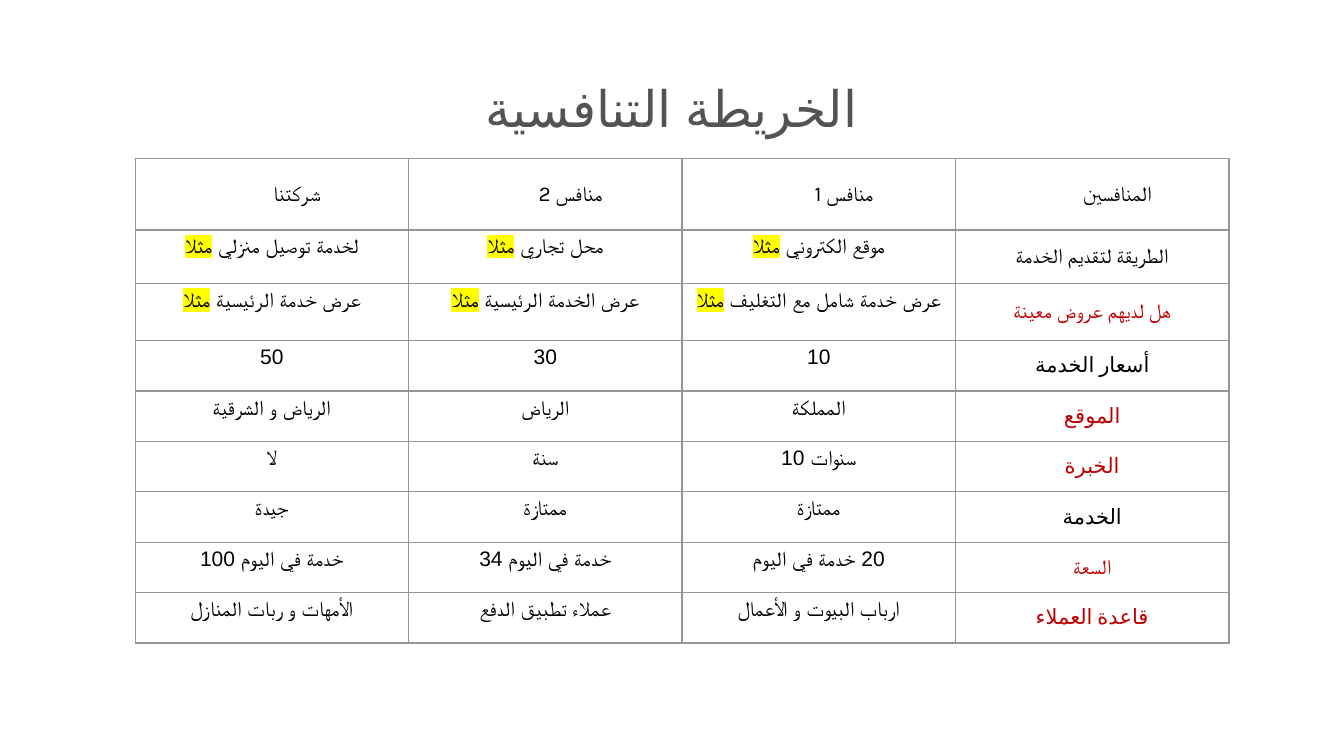
from dataclasses import dataclass

from lxml.etree import SubElement
from pptx import Presentation
from pptx.dml.color import RGBColor
from pptx.enum.lang import MSO_LANGUAGE_ID
from pptx.enum.text import MSO_ANCHOR, PP_ALIGN
from pptx.oxml import parse_xml
from pptx.oxml.ns import nsdecls, qn
from pptx.util import Inches, Pt


@dataclass(frozen=True)
class Theme:
    title_color: str = "535353"
    text: str = "000000"
    accent: str = "C00000"
    border: str = "969696"
    highlight: str = "FFFF00"
    title_size: int = 36
    cell_size: int = 15
    label_font: str = "Karla"
    body_font: str = "Arial"


THEME = Theme()
EXAMPLE = "مثلا"
HEADERS = ["شركتنا", "منافس 2", "منافس 1", "المنافسين"]
# Three values, then the row label, its colour and its words set as Arabic
ROWS = [
    (["لخدمة توصيل منزلي مثلا", "محل تجاري مثلا", "موقع الكتروني مثلا"],
     "الطريقة لتقديم الخدمة", THEME.text, ""),
    (["عرض خدمة الرئيسية مثلا", "عرض الخدمة الرئيسية مثلا",
      "عرض خدمة شامل مع التغليف مثلا"],
     "هل لديهم عروض معينة", THEME.accent, ""),
    (["50", "30", "10"], "أسعار الخدمة", THEME.text, "أسعار"),
    (["الرياض و الشرقية", "الرياض", "المملكة"],
     "الموقع", THEME.accent, "الموقع"),
    (["لا", "سنة", "10 سنوات"], "الخبرة", THEME.accent, "الخبرة"),
    (["جيدة", "ممتازة", "ممتازة"], "الخدمة", THEME.text, "الخدمة"),
    (["100 خدمة في اليوم", "34 خدمة في اليوم", "20 خدمة في اليوم"],
     "السعة", THEME.accent, ""),
    (["الأمهات و ربات المنازل", "عملاء تطبيق الدفع", "ارباب البيوت و الأعمال"],
     "قاعدة العملاء", THEME.accent, "قاعدة العملاء"),
]
RTL_CELL = (7, 2)
ROW_HEIGHTS = [0.71, 0.53, 0.57] + [0.5] * 6


def style_paragraph(p, font, size, color):
    p.alignment = PP_ALIGN.CENTER
    p.font.size = Pt(size)
    p.font.color.rgb = RGBColor.from_string(color)
    p.font.name = font
    SubElement(p.font._element, qn("a:cs"), typeface=font)


def add_run(p, text, arabic=False, highlight=False):
    r = p.add_run()
    r.text = text
    if arabic:
        r.font.language_id = MSO_LANGUAGE_ID.ARABIC
    if highlight:
        mark = SubElement(r.font._element, qn("a:highlight"))
        SubElement(mark, qn("a:srgbClr"), val=THEME.highlight)


def set_borders(cell, top, bottom):
    tc_pr = cell._tc.get_or_add_tcPr()
    widths = {"lnL": 1, "lnR": 1, "lnT": top, "lnB": bottom}
    for i, (side, width) in enumerate(widths.items()):
        tc_pr.insert(i, parse_xml(
            f'<a:{side} {nsdecls("a")} w="{Pt(width)}"><a:solidFill>'
            f'<a:srgbClr val="{THEME.border}"/></a:solidFill></a:{side}>'))


def prepare_cell(cell, anchor, top=1, bottom=1):
    """Clear the fill, set margins and borders, and return the paragraph."""
    cell.fill.background()
    set_borders(cell, top, bottom)
    cell.margin_left = cell.margin_right = Inches(0.05)
    cell.margin_top = cell.margin_bottom = Inches(0.05)
    cell.vertical_anchor = anchor
    return cell.text_frame.paragraphs[0]


def add_title(s, x, y, w, h):
    tf = s.shapes.add_textbox(Inches(x), Inches(y), Inches(w), Inches(h)).text_frame
    tf.word_wrap = True
    tf.vertical_anchor = MSO_ANCHOR.TOP
    p = tf.paragraphs[0]
    style_paragraph(p, THEME.body_font, THEME.title_size, THEME.title_color)
    add_run(p, "الخريطة التنافسية", arabic=True)


def fill_header(table):
    for col, text in enumerate(HEADERS):
        p = prepare_cell(table.cell(0, col), MSO_ANCHOR.MIDDLE, bottom=2)
        p._p.get_or_add_pPr().set("indent", str(Inches(0.5)))
        style_paragraph(p, THEME.label_font, THEME.cell_size, THEME.text)
        add_run(p, text)


def fill_row(table, row, values, label, color, arabic):
    top = 2 if row == 1 else 1
    for col, text in enumerate(values):
        p = prepare_cell(table.cell(row, col), MSO_ANCHOR.TOP, top)
        if (row, col) == RTL_CELL:
            p._p.get_or_add_pPr().set("rtl", "1")
        style_paragraph(p, THEME.body_font, THEME.cell_size, THEME.text)
        add_run(p, text.removesuffix(EXAMPLE))
        if text.endswith(EXAMPLE):
            add_run(p, EXAMPLE, highlight=True)

    p = prepare_cell(table.cell(row, len(values)), MSO_ANCHOR.MIDDLE, top)
    style_paragraph(p, THEME.label_font, THEME.cell_size, color)
    if arabic:
        add_run(p, arabic, arabic=True)
    rest = label.removeprefix(arabic)
    if rest:
        add_run(p, rest)


def add_competitor_table(s, x, y, w):
    table = s.shapes.add_table(
        len(ROW_HEIGHTS), len(HEADERS), Inches(x), Inches(y),
        Inches(w), Inches(sum(ROW_HEIGHTS))).table
    table.first_row = table.horz_banding = False
    for row, height in zip(table.rows, ROW_HEIGHTS):
        row.height = Inches(height)
    fill_header(table)
    for i, content in enumerate(ROWS, start=1):
        fill_row(table, i, *content)


def main():
    prs = Presentation()
    prs.slide_width, prs.slide_height = Inches(13.33), Inches(7.5)
    s = prs.slides.add_slide(prs.slide_layouts[6])
    add_title(s, 2.35, 0.72, 8.62, 1.45)
    add_competitor_table(s, 1.34, 1.57, 10.85)
    prs.save("out.pptx")


if __name__ == "__main__":
    main()
